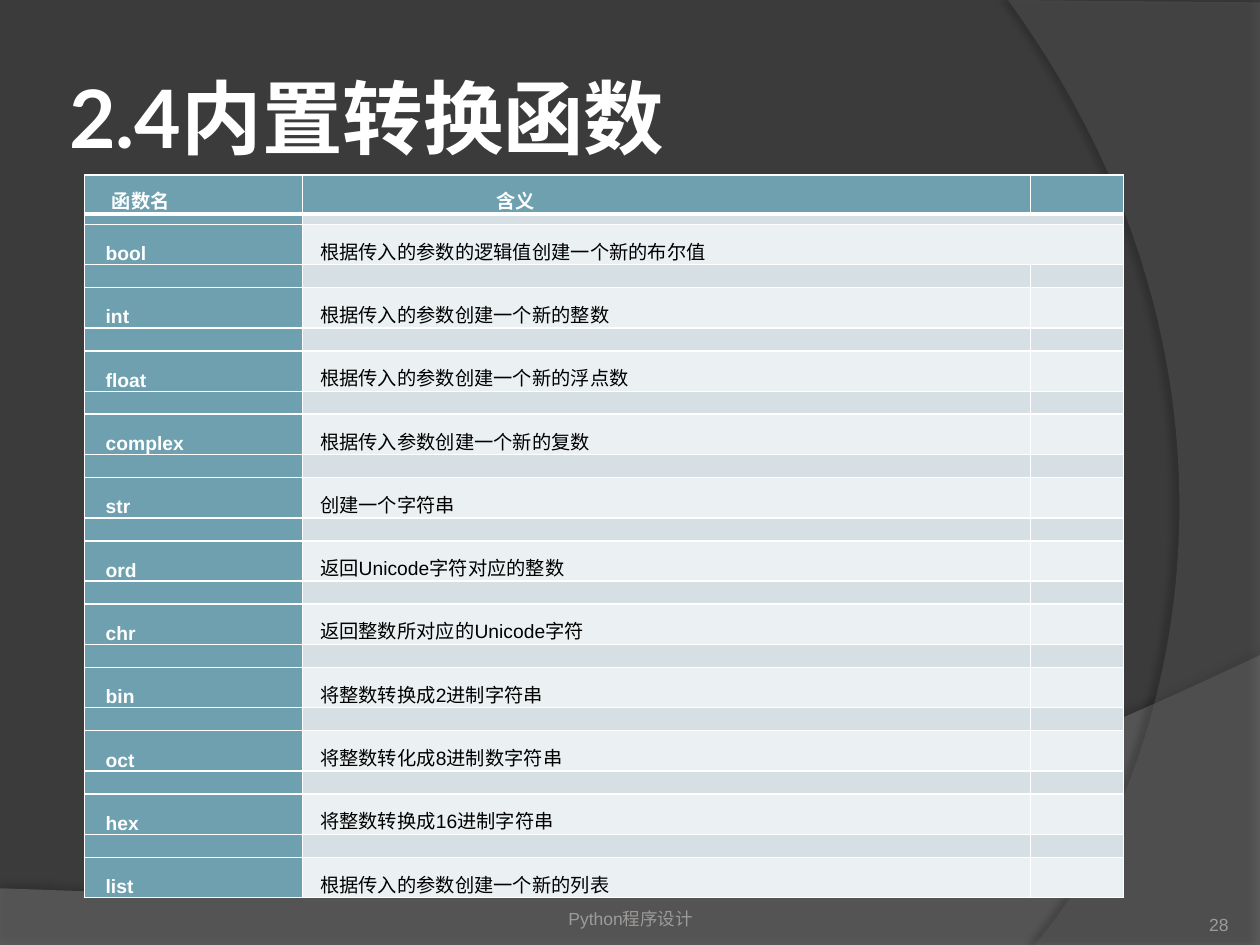
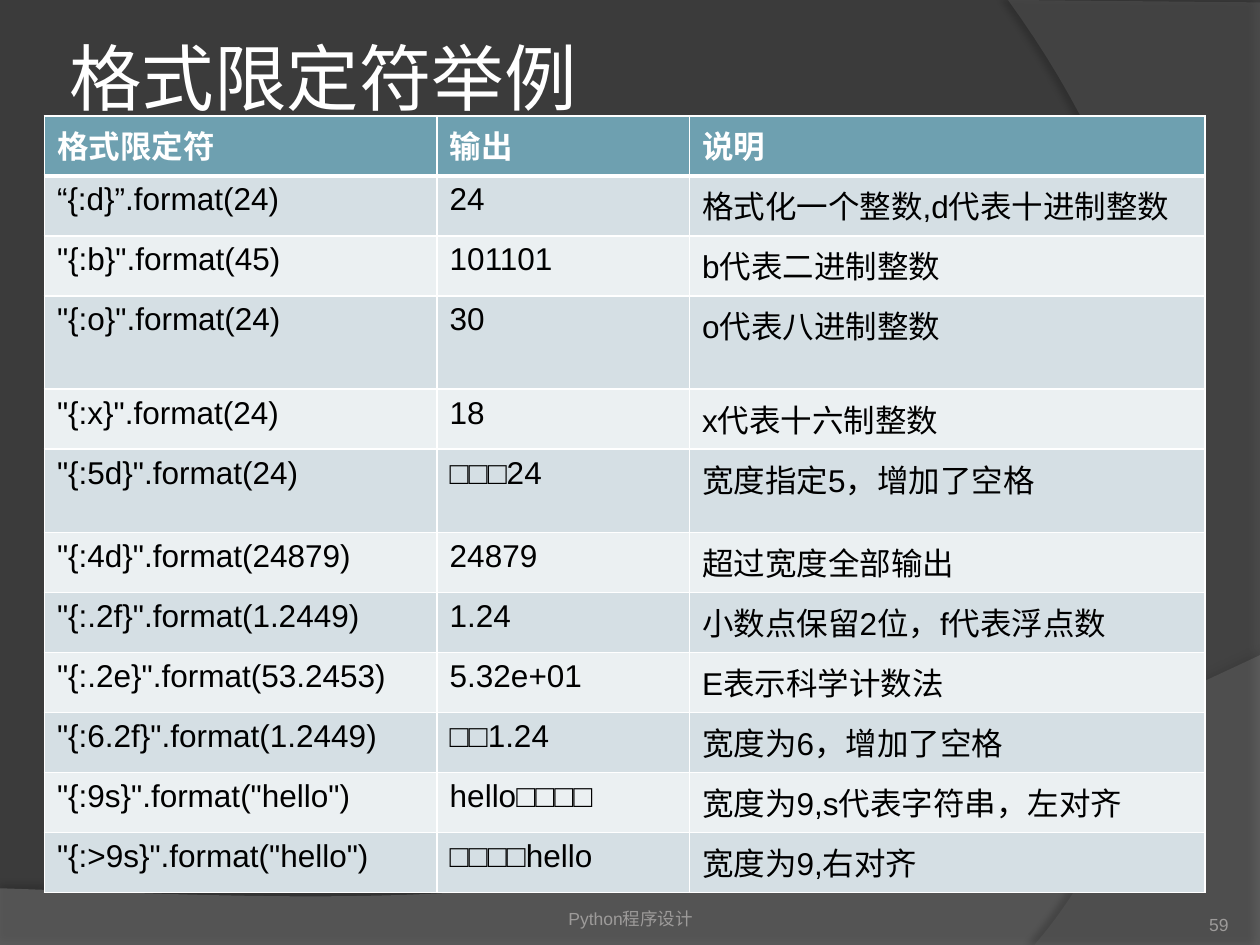
from dataclasses import dataclass
from typing import Any

import pptx
import pptx.dml.color
import pptx.enum.text
import pptx.oxml
import pptx.oxml.ns
import pptx.util

Pt = pptx.util.Pt
RGBColor = pptx.dml.color.RGBColor
Anchor = pptx.enum.text.MSO_ANCHOR
Align = pptx.enum.text.PP_ALIGN

BACKGROUND = RGBColor(0x3B, 0x3B, 0x3B)
WAVE_GREY = RGBColor(0x7F, 0x7F, 0x7F)
ARC_GREY = RGBColor(0x5E, 0x5E, 0x5E)
FOOTER_GREY = RGBColor(0x9D, 0x9B, 0x9A)
TEAL = RGBColor(0x6E, 0xA0, 0xB0)
BAND_DARK = RGBColor(0xD5, 0xDF, 0xE4)
BAND_LIGHT = RGBColor(0xEB, 0xF0, 0xF2)
WHITE = RGBColor(0xFF, 0xFF, 0xFF)
BLACK = RGBColor(0, 0, 0)

SLIDE_WIDTH, SLIDE_HEIGHT = 720, 540
TITLE_FONT, TEXT_FONT = "Lato", "Arial"
TITLE_ONLY = 5
COURSE = "Python程序设计"

Point = tuple[float, float]


@dataclass(frozen=True)
class Box:
    left: float
    top: float
    width: float
    height: float

    def lengths(self) -> list[int]:
        return [Pt(n) for n in (self.left, self.top, self.width, self.height)]


@dataclass(frozen=True)
class TextStyle:
    size: float
    color: RGBColor
    bold: bool = False
    font: str = TEXT_FONT


@dataclass(frozen=True)
class CellLayout:
    indent: float = 0
    line_spacing: float | None = None
    compact: bool = False


@dataclass(frozen=True)
class Swoosh:
    before: tuple[Point, ...]
    curve: tuple[Point, Point, Point, Point]
    color: RGBColor
    opacity: int
    shadow_opacity: int
    shadow_distance: float
    shadow_angle: int


SWOOSHES = (
    Swoosh(((0, 507.6), (0, 540), (720, 540)),
           ((720, 374.4), (402.5, 524.9), (281.5, 517.7), (0, 507.6)),
           WAVE_GREY, 45, 35, 3.5, 270),
    Swoosh(((720, 1.4), (720, 540)),
           ((591.1, 540), (673.2, 445.7), (733, 216), (576, 0)),
           ARC_GREY, 40, 45, 4, 180),
)

FUNCTIONS = (
    ("bool", "根据传入的参数的逻辑值创建一个新的布尔值"),
    ("int", "根据传入的参数创建一个新的整数"),
    ("float", "根据传入的参数创建一个新的浮点数"),
    ("complex", "根据传入参数创建一个新的复数"),
    ("str", "创建一个字符串"),
    ("ord", "返回Unicode字符对应的整数"),
    ("chr", "返回整数所对应的Unicode字符"),
    ("bin", "将整数转换成2进制字符串"),
    ("oct", "将整数转化成8进制数字符串"),
    ("hex", "将整数转换成16进制字符串"),
    ("list", "根据传入的参数创建一个新的列表"),
)

FORMATS = (
    ("格式限定符", "输出", "说明"),
    ("“{:d}”.format(24)", "24", "格式化一个整数,d代表十进制整数"),
    ('"{:b}".format(45)', "101101", "b代表二进制整数"),
    ('"{:o}".format(24)', "30", "o代表八进制整数"),
    ('"{:x}".format(24)', "18", "x代表十六制整数"),
    ('"{:5d}".format(24)', "□□□24", "宽度指定5，增加了空格"),
    ('"{:4d}".format(24879)', "24879", "超过宽度全部输出"),
    ('"{:.2f}".format(1.2449)', "1.24", "小数点保留2位，f代表浮点数"),
    ('"{:.2e}".format(53.2453)', "5.32e+01", "E表示科学计数法"),
    ('"{:6.2f}".format(1.2449)', "□□1.24", "宽度为6，增加了空格"),
    ('"{:9s}".format("hello")', "hello□□□□", "宽度为9,s代表字符串，左对齐"),
    ('"{:>9s}".format("hello")', "□□□□hello", "宽度为9,右对齐"),
)


def add_run(paragraph: Any, text: str, style: TextStyle) -> None:
    run = paragraph.add_run()
    run.text = text
    run.font.size = Pt(style.size)
    run.font.name = style.font
    run.font.bold = style.bold
    run.font.color.rgb = style.color


def set_margins(target: Any, left: float, top: float, right: float, bottom: float) -> None:
    target.margin_left, target.margin_top = Pt(left), Pt(top)
    target.margin_right, target.margin_bottom = Pt(right), Pt(bottom)


def bezier(curve: tuple[Point, ...], steps: int = 60) -> list[Point]:
    points = []
    for step in range(steps + 1):
        t = step / steps
        weights = ((1 - t) ** 3, 3 * t * (1 - t) ** 2, 3 * t * t * (1 - t), t ** 3)
        points.append((sum(w * x for w, (x, _) in zip(weights, curve)),
                       sum(w * y for w, (_, y) in zip(weights, curve))))
    return points


def add_swoosh(slide: Any, master: Any, swoosh: Swoosh, depth: int) -> None:
    outline = [(Pt(x), Pt(y)) for x, y in (*swoosh.before, *bezier(swoosh.curve))]
    builder = slide.shapes.build_freeform(*outline[0])
    builder.add_line_segments(outline[1:], close=True)
    shape = builder.convert_to_shape()
    shape.fill.solid()
    shape.fill.fore_color.rgb = swoosh.color
    shape.line.fill.background()
    properties = shape._element.spPr
    color = properties.find(".//" + pptx.oxml.ns.qn("a:srgbClr"))
    color.append(pptx.oxml.parse_xml(
        f'<a:alpha {pptx.oxml.ns.nsdecls("a")} val="{swoosh.opacity * 1000}"/>'))
    properties.append(pptx.oxml.parse_xml(
        f'<a:effectLst {pptx.oxml.ns.nsdecls("a")}>'
        f'<a:outerShdw blurRad="{Pt(4)}" dist="{Pt(swoosh.shadow_distance)}" '
        f'dir="{swoosh.shadow_angle * 60000}" algn="ctr" rotWithShape="0">'
        f'<a:srgbClr val="000000"><a:alpha val="{swoosh.shadow_opacity * 1000}"/>'
        f'</a:srgbClr></a:outerShdw></a:effectLst>'))
    master.shapes._spTree.insert(2 + depth, shape._element)


def add_footer(slide: Any, box: Box, text: str, align: Any, inset: float) -> None:
    frame = slide.shapes.add_textbox(*box.lengths()).text_frame
    frame.word_wrap = True
    frame.vertical_anchor = Anchor.BOTTOM
    set_margins(frame, 0, inset, 0, inset)
    frame.paragraphs[0].alignment = align
    add_run(frame.paragraphs[0], text, TextStyle(10, FOOTER_GREY))


def add_slide(deck: Any, title: str, title_height: float, style: TextStyle, page: int) -> Any:
    slide = deck.slides.add_slide(deck.slide_layouts[TITLE_ONLY])
    heading = slide.shapes.title
    heading.left, heading.top, heading.width, heading.height = Box(
        36, 21.6, 588.2, title_height).lengths()
    frame = heading.text_frame
    frame.word_wrap = True
    frame.auto_size = pptx.enum.text.MSO_AUTO_SIZE.NONE
    frame.vertical_anchor = Anchor.MIDDLE
    set_margins(frame, 3.6, 3.6, 3.6, 3.6)
    frame.paragraphs[0].alignment = Align.LEFT
    add_run(frame.paragraphs[0], title, style)
    add_footer(slide, Box(246.2, 505.4, 228.2, 28.8), COURSE, Align.CENTER, 3.6)
    add_footer(slide, Box(642.2, 505.4, 59.8, 28.8), str(page), Align.RIGHT, 0)
    return slide


def add_grid(slide: Any, box: Box, widths: list[float], heights: list[float]) -> Any:
    table = slide.shapes.add_table(len(heights), len(widths), *box.lengths()).table
    table.horz_banding = False
    for column, width in zip(table.columns, widths):
        column.width = Pt(width)
    for row, height in zip(table.rows, heights):
        row.height = Pt(height)
    for index, row in enumerate(table.rows):
        for cell in row.cells:
            add_borders(cell, top=3 if index == 1 else 1, bottom=3 if index == 0 else 1)
    return table


def add_borders(cell: Any, top: float, bottom: float) -> None:
    properties = cell._tc.get_or_add_tcPr()
    for side, width in (("L", 1), ("R", 1), ("T", top), ("B", bottom)):
        properties.append(pptx.oxml.parse_xml(
            f'<a:ln{side} {pptx.oxml.ns.nsdecls("a")} w="{Pt(width)}">'
            f'<a:solidFill><a:srgbClr val="{WHITE}"/></a:solidFill></a:ln{side}>'))


def fill_cell(cell: Any, text: str, fill: RGBColor, style: TextStyle, layout: CellLayout) -> None:
    cell.fill.solid()
    cell.fill.fore_color.rgb = fill
    paragraph = cell.text_frame.paragraphs[0]
    if layout.compact:
        set_margins(cell, 0, 0, 0, 0)
        cell.vertical_anchor = Anchor.BOTTOM
    if not text:
        paragraph._p.get_or_add_endParaRPr().set("sz", "400")
        return
    if layout.indent:
        paragraph._p.get_or_add_pPr().set("marL", str(Pt(layout.indent)))
    if layout.line_spacing:
        paragraph.line_spacing = Pt(layout.line_spacing)
    add_run(paragraph, text, style)


def add_conversion_slide(deck: Any) -> Any:
    slide = add_slide(deck, "2.4内置转换函数", 90,
                      TextStyle(46, WHITE, True, TITLE_FONT), 28)
    rows = [("函数名", "含义", "")]
    for function, meaning in FUNCTIONS:
        rows += [("", "", ""), (function, meaning, "")]
    heights = [22.3, 5.8] + [23.1, 13.1] * (len(FUNCTIONS) - 1) + [23.1]
    table = add_grid(slide, Box(48.2, 100.1, 594, sum(heights)), [124.6, 416.2, 53.2], heights)
    strong, plain = TextStyle(11, WHITE, True), TextStyle(11, BLACK)
    header_layouts = [CellLayout(indent, 12.6, True) for indent in (15.8, 110.9, 0)]
    body_layouts = [CellLayout(12.2, None, True), CellLayout(10.1, 13.2, True),
                    CellLayout(compact=True)]
    for r, texts in enumerate(rows):
        for c, text in enumerate(texts):
            teal = r == 0 or c == 0
            band = BAND_DARK if r % 2 else BAND_LIGHT
            layouts = body_layouts if r else header_layouts
            fill_cell(table.cell(r, c), text, TEAL if teal else band,
                      strong if teal else plain, layouts[c])
    for r in (1, 2):
        table.cell(r, 1).merge(table.cell(r, 2))
    return slide


def add_format_slide(deck: Any) -> None:
    slide = add_slide(deck, "格式限定符举例", 43.9,
                      TextStyle(41.4, WHITE, False, TITLE_FONT), 59)
    taller = {3: 53.3, 5: 47.5}
    heights = [taller.get(r, 34.3) for r in range(len(FORMATS))]
    table = add_grid(slide, Box(25.4, 66.2, 663.1, sum(heights)), [224.4, 144.2, 294.5], heights)
    for r, texts in enumerate(FORMATS):
        style = TextStyle(18, BLACK if r else WHITE, r == 0)
        band = BAND_DARK if r % 2 else BAND_LIGHT
        for c, text in enumerate(texts):
            fill_cell(table.cell(r, c), text, band if r else TEAL, style, CellLayout())


def main() -> None:
    deck = pptx.Presentation()
    deck.slide_width, deck.slide_height = Pt(SLIDE_WIDTH), Pt(SLIDE_HEIGHT)
    master = deck.slide_master
    master.background.fill.solid()
    master.background.fill.fore_color.rgb = BACKGROUND
    first = add_conversion_slide(deck)
    for depth, swoosh in enumerate(SWOOSHES):
        add_swoosh(first, master, swoosh, depth)
    add_format_slide(deck)
    deck.save("out.pptx")


if __name__ == "__main__":
    main()
